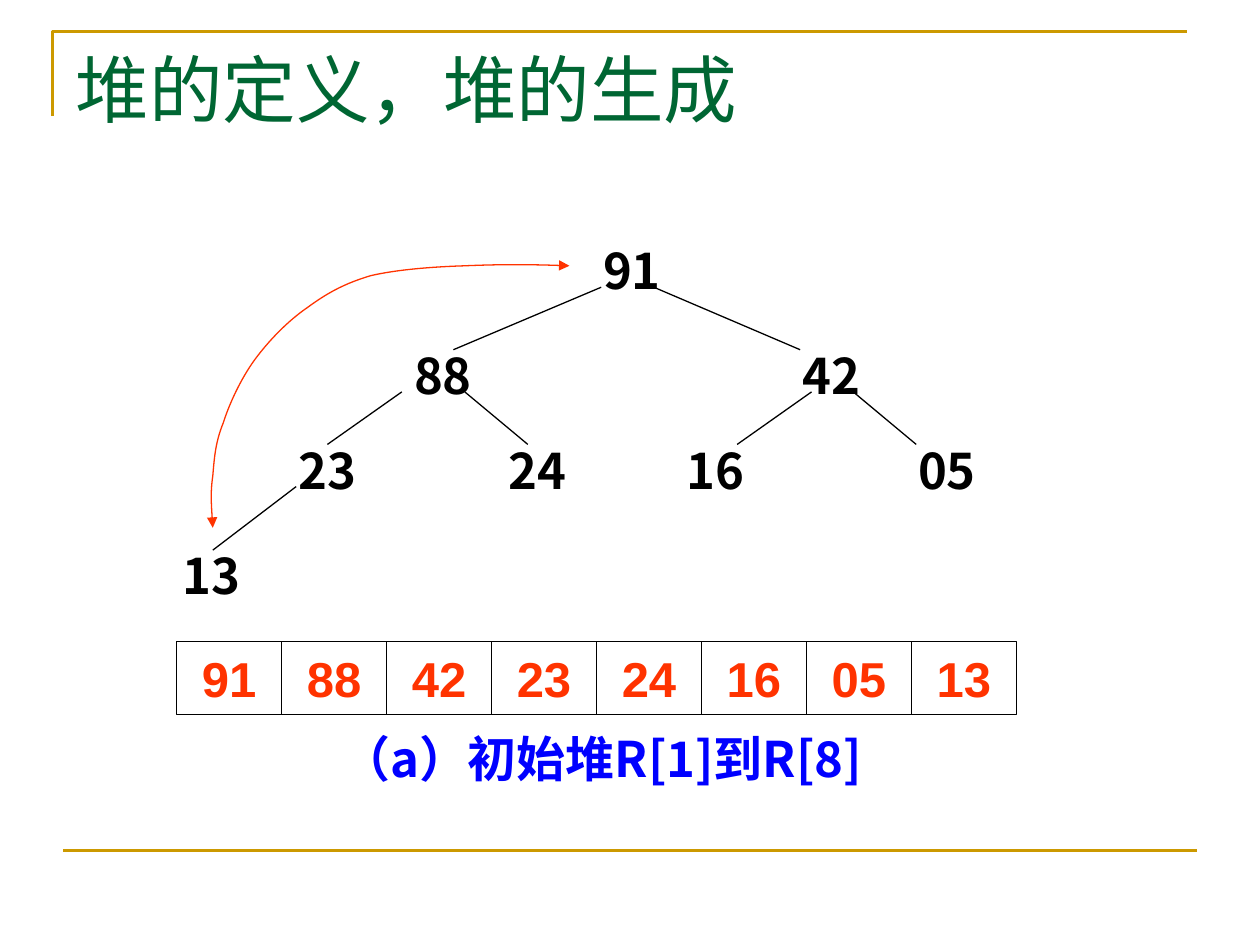
from lxml import etree
from pptx import Presentation, util as u
from pptx.dml.color import RGBColor
from pptx.enum import text
from pptx.enum import shapes
from pptx.oxml.ns import qn

Cm = u.Cm
COLORS = {"frame": "CC9900", "title": "006633", "node": "000000",
          "key": "FF3300", "caption": "0000FF"}
CJK = "Noto Sans CJK SC"
HEAP = ["91", "88", "42", "23", "24", "16", "05", "13"]
NODE_SPOTS = [(8.48, 0), (4.67, 2.11), (12.5, 2.11), (2.34, 4.02),
              (6.58, 4.02), (10.16, 4.02), (14.83, 4.02), (0, 6.15)]
EDGE_ENDS = [(8.69, 5.71), (9.75, 12.7), (4.67, 3.17), (5.94, 7.21),
             (12.93, 11.43), (13.77, 15.04), (2.54, 0.86)]
SWAP_CURVE = [(0.86, 5.92),
              (0.84, 5.57), (0.81, 5.21), (0.86, 4.88),
              (0.89, 4.53), (0.91, 4.2), (1.07, 3.81),
              (1.19, 3.43), (1.42, 2.93), (1.7, 2.54),
              (1.98, 2.16), (2.36, 1.76), (2.77, 1.48),
              (3.15, 1.2), (3.5, 1.0), (4.04, 0.84),
              (4.55, 0.72), (5.26, 0.66), (5.94, 0.64),
              (6.6, 0.61), (7.31, 0.61), (8.05, 0.64)]


def color(name):
    return RGBColor.from_string(COLORS[name])


def write(shape, words, *, ink, size=28, font=CJK, bold=True,
          align=text.PP_ALIGN.LEFT, anchor=text.MSO_ANCHOR.MIDDLE):
    frame = shape.text_frame
    frame.word_wrap = True
    frame.auto_size = text.MSO_AUTO_SIZE.NONE
    frame.vertical_anchor = anchor
    paragraph = frame.paragraphs[0]
    paragraph.alignment = align
    run = paragraph.add_run()
    run.text = words
    run.font.size = u.Pt(size)
    run.font.name = font
    run.font.bold = bold
    run.font.color.rgb = color(ink)
    east_asian = etree.SubElement(run.font._element, qn("a:ea"))
    east_asian.set("typeface", CJK)


def outline(shape, ink, width):
    shape.line.color.rgb = color(ink)
    shape.line.width = u.Pt(width)


def add_line(slide, x1, y1, x2, y2, ink, width):
    line = slide.shapes.add_connector(
        shapes.MSO_CONNECTOR.STRAIGHT, Cm(x1), Cm(y1), Cm(x2), Cm(y2))
    outline(line, ink, width)
    etree.SubElement(line._element.spPr, qn("a:effectLst"))


def add_open_outline(slide, points, ink, width):
    corners = [(Cm(x), Cm(y)) for x, y in points]
    builder = slide.shapes.build_freeform(*corners[0])
    builder.add_line_segments(corners[1:], close=False)
    shape = builder.convert_to_shape()
    shape.fill.background()
    outline(shape, ink, width)
    shape.shadow.inherit = False
    return shape


def add_frame(slide, left, top, width, height):
    add_open_outline(slide, [(left, top + 1.7), (left, top), (left + width, top)],
                     "frame", 1.5)
    add_line(slide, left + 0.21, top + height, left + 0.21 + width, top + height,
             "frame", 1.5)


def add_title(slide, left, top, width, height):
    title = slide.shapes.title
    title.left, title.top, title.width, title.height = map(
        Cm, (left, top, width, height))
    write(title, "堆的定义，堆的生成", ink="title", size=42, font="Times New Roman",
          bold=False, anchor=text.MSO_ANCHOR.TOP)


def add_swap_arrow(slide, left, top):
    arrow = add_open_outline(
        slide, [(left + x, top + y) for x, y in SWAP_CURVE], "key", 0.75)
    segments = list(arrow._element.iter(qn("a:lnTo")))
    for start in range(0, len(segments), 3):
        bezier = etree.Element(qn("a:cubicBezTo"))
        segments[start].addprevious(bezier)
        for segment in segments[start:start + 3]:
            bezier.append(segment[0])
            segment.getparent().remove(segment)
    line = arrow.line._get_or_add_ln()
    for end in ("a:headEnd", "a:tailEnd"):
        etree.SubElement(line, qn(end)).set("type", "triangle")


def add_tree(slide, left, top):
    for key, (x, y) in zip(HEAP, NODE_SPOTS):
        node = slide.shapes.add_textbox(
            Cm(left + x), Cm(top + y), Cm(1.7), Cm(1.45))
        write(node, key, ink="node")
    for child, (start_x, end_x) in enumerate(EDGE_ENDS, 1):
        parent_y = NODE_SPOTS[(child - 1) // 2][1]
        child_y = NODE_SPOTS[child][1]
        add_line(slide, left + start_x, top + parent_y + 1.07,
                 left + end_x, top + child_y + 0.22, "node", 0.75)
    add_swap_arrow(slide, left, top)


def add_array(slide, left, top, width, height):
    cell_width = width / len(HEAP)
    for index, key in enumerate(HEAP):
        cell = slide.shapes.add_shape(
            shapes.MSO_SHAPE.RECTANGLE, Cm(left + index * cell_width), Cm(top),
            Cm(cell_width), Cm(height))
        cell.fill.background()
        outline(cell, "node", 0.75)
        cell.shadow.inherit = False
        write(cell, key, ink="key", font="Arial", align=text.PP_ALIGN.CENTER)


def add_caption(slide, left, top, width, height):
    caption = slide.shapes.add_textbox(Cm(left), Cm(top), Cm(width), Cm(height))
    write(caption, "（a）初始堆R[1]到R[8]", ink="caption", align=text.PP_ALIGN.CENTER)


def main():
    deck = Presentation()
    deck.slide_width, deck.slide_height = Cm(25.4), Cm(19.05)
    slide = deck.slides.add_slide(deck.slide_layouts[5])
    add_frame(slide, 1.06, 0.64, 22.86, 16.51)
    add_title(slide, 1.27, 0.76, 22.86, 3.18)
    add_tree(slide, 3.43, 4.72)
    add_array(slide, 3.56, 12.93, 16.93, 1.47)
    add_caption(slide, 4.83, 14.55, 14.6, 1.45)
    deck.save("out.pptx")


if __name__ == "__main__":
    main()
